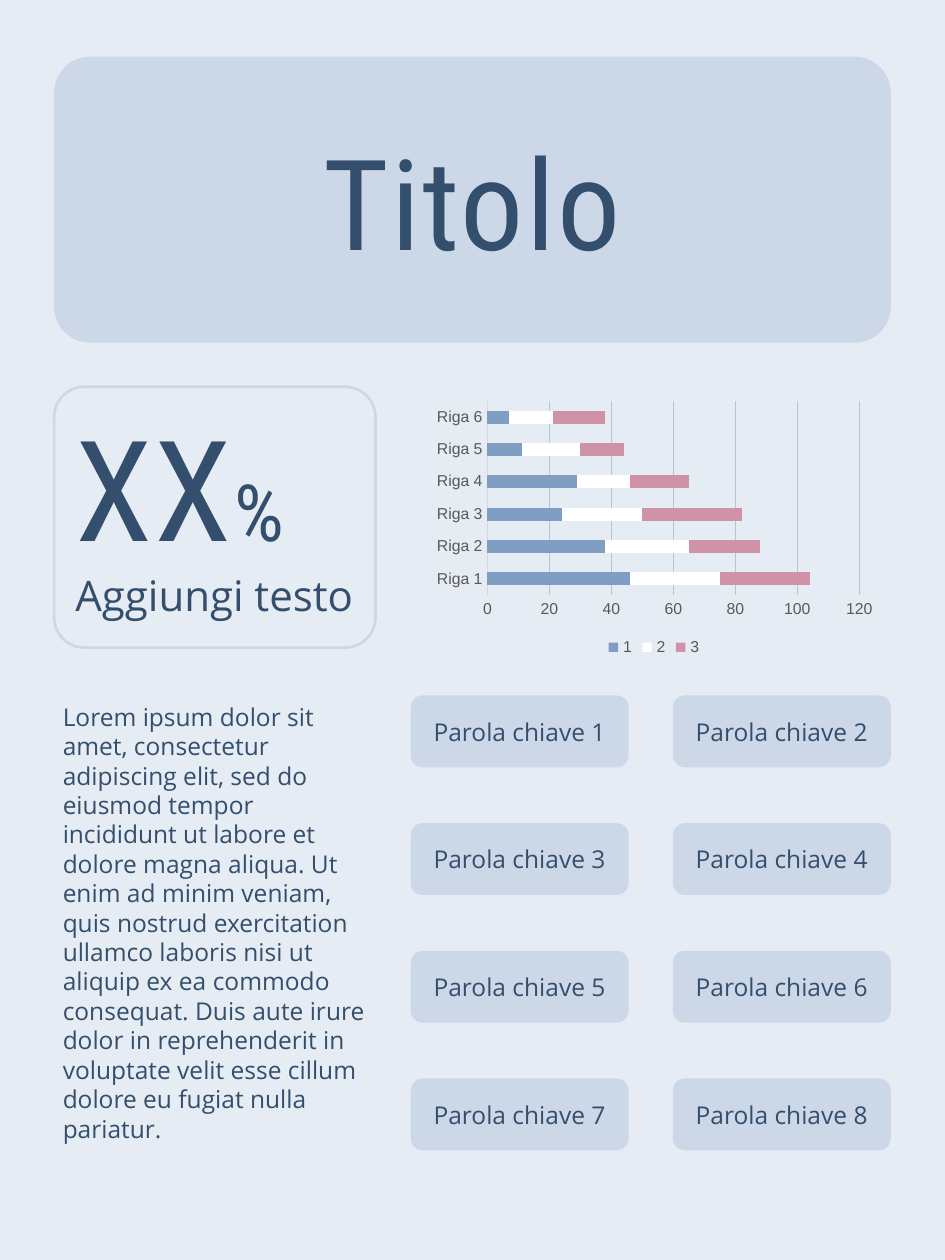
from lxml import etree
from pptx import Presentation
from pptx.chart.data import CategoryChartData
from pptx.dml.color import RGBColor
from pptx.enum.chart import XL_CHART_TYPE as ChartType, XL_LEGEND_POSITION as LegendPosition
from pptx.enum.chart import XL_TICK_MARK as TickMark
from pptx.enum.shapes import MSO_SHAPE as Preset
from pptx.enum.text import MSO_ANCHOR as Anchor, PP_ALIGN as Align
from pptx.oxml.ns import qn
from pptx.util import Inches, Pt

COLORS = {
    "background": "E6ECF3",
    "panel": "CCD8E7",
    "text": "344E6D",
    "label": "595959",
    "axis": "D9D9D9",
    "grid": "B3C5DA",
    "first": "809EC2",
    "second": "FFFFFF",
    "third": "D092A7",
}
TITLE_FONT = "Roboto Condensed"
BODY_FONT = "Open Sans"


def add_run(paragraph, text, font_name, size, spacing=0):
    run = paragraph.add_run()
    run.text = text
    for name, value in {"name": font_name, "size": Pt(size)}.items():
        setattr(run.font, name, value)
    run.font.color.rgb = RGBColor.from_string(COLORS["text"])
    if spacing:
        run._r.get_or_add_rPr().set("spc", str(spacing))


def add_panel(left, top, width, height, adjustment, filled=True):
    shape = slide.shapes.add_shape(
        Preset.ROUNDED_RECTANGLE, Inches(left), Inches(top), Inches(width), Inches(height)
    )
    shape.shadow.inherit = False
    shape.adjustments[0] = adjustment
    color = RGBColor.from_string(COLORS["panel"])
    if filled:
        shape.fill.solid()
        shape.fill.fore_color.rgb = color
        shape.line.fill.background()
    else:
        shape.fill.background()
        shape.line.color.rgb = color
        shape.line.width = Pt(1.5)
    shape.text_frame.vertical_anchor = Anchor.MIDDLE
    shape.text_frame.paragraphs[0].alignment = Align.CENTER
    return shape


presentation = Presentation()
presentation.slide_width = Inches(7.5)
presentation.slide_height = Inches(10)
slide = presentation.slides.add_slide(presentation.slide_layouts[6])
slide.background.fill.solid()
slide.background.fill.fore_color.rgb = RGBColor.from_string(COLORS["background"])

title = add_panel(0.43, 0.45, 6.64, 2.27, 0.126)
add_run(title.text_frame.paragraphs[0], "Titolo", TITLE_FONT, 72, 140)

statistic = add_panel(0.43, 3.07, 2.55, 2.07, 0.116, filled=False)
for name, value in {"vertical_anchor": Anchor.TOP, "margin_right": 0}.items():
    setattr(statistic.text_frame, name, value)
figure = statistic.text_frame.paragraphs[0]
add_run(figure, "XX", TITLE_FONT, 80, 140)
add_run(figure, "%", TITLE_FONT, 45, 140)
caption = statistic.text_frame.add_paragraph()
add_run(caption, "Aggiungi testo", BODY_FONT, 24)
for paragraph in (figure, caption):
    paragraph.alignment = Align.LEFT

chart_data = CategoryChartData()
chart_data.categories = [f"Riga {number}" for number in range(1, 7)]
series_rows = [
    ("1", (46, 38, 24, 29, 11, 7), "first"),
    ("2", (29, 27, 26, 17, 19, 14), "second"),
    ("3", (29, 23, 32, 19, 14, 17), "third"),
]
for name, values, color in series_rows:
    chart_data.add_series(name, values)
chart = slide.shapes.add_chart(
    ChartType.BAR_STACKED, Inches(3.39), Inches(3.14), Inches(3.6), Inches(2.11), chart_data
).chart
chart.font.name = "Arial"
chart.font.size = Pt(10)
chart.has_title = False
chart.has_legend = True
chart.legend.position = LegendPosition.BOTTOM
chart.legend.include_in_layout = False

plot = chart.plots[0]
for name, value in {"gap_width": 150, "overlap": 100, "vary_by_categories": False}.items():
    setattr(plot, name, value)
for series, (name, values, color) in zip(plot.series, series_rows):
    series.format.fill.solid()
    series.format.fill.fore_color.rgb = RGBColor.from_string(COLORS[color])

category_axis, value_axis = chart.category_axis, chart.value_axis
for axis in (category_axis, value_axis):
    axis.major_tick_mark = TickMark.NONE
    axis.minor_tick_mark = TickMark.NONE
for font in (category_axis.tick_labels.font, value_axis.tick_labels.font, chart.legend.font):
    font.name = "Arial"
    font.size = Pt(9)
    font.color.rgb = RGBColor.from_string(COLORS["label"])
value_format = {"minimum_scale": 0, "maximum_scale": 120, "major_unit": 20, "has_major_gridlines": True}
for name, value in value_format.items():
    setattr(value_axis, name, value)
value_axis.format.line.fill.background()
for line, color in (
    (category_axis.format.line, "axis"),
    (value_axis.major_gridlines.format.line, "grid"),
):
    line.color.rgb = RGBColor.from_string(COLORS[color])
    line.width = Pt(0.75)

plot_area = chart._chartSpace.chart.plotArea
for old_layout in plot_area.findall(qn("c:layout")):
    plot_area.remove(old_layout)
layout = etree.Element(qn("c:layout"))
manual_layout = etree.SubElement(layout, qn("c:manualLayout"))
layout_values = {
    "layoutTarget": "inner", "xMode": "edge", "yMode": "edge",
    "x": "0.133", "y": "0.02", "w": "0.82", "h": "0.73",
}
for tag, value in layout_values.items():
    etree.SubElement(manual_layout, qn(f"c:{tag}")).set("val", value)
plot_area.insert(0, layout)

body = slide.shapes.add_textbox(Inches(0.4), Inches(5.52), Inches(2.6), Inches(3.6))
body.text_frame.word_wrap = True
add_run(
    body.text_frame.paragraphs[0],
    "Lorem ipsum dolor sit amet, consectetur adipiscing elit, sed do eiusmod tempor "
    "incididunt ut labore et dolore magna aliqua. Ut enim ad minim veniam, quis nostrud "
    "exercitation ullamco laboris nisi ut aliquip ex ea commodo consequat. Duis aute irure "
    "dolor in reprehenderit in voluptate velit esse cillum dolore eu fugiat nulla pariatur.",
    BODY_FONT,
    14,
)

for index in range(8):
    row, column = divmod(index, 2)
    keyword = add_panel(3.26 + column * 2.08, 5.52 + row * 3.04 / 3, 1.73, 0.57, 0.167)
    add_run(keyword.text_frame.paragraphs[0], f"Parola chiave {index + 1}", BODY_FONT, 14)

presentation.save("out.pptx")
